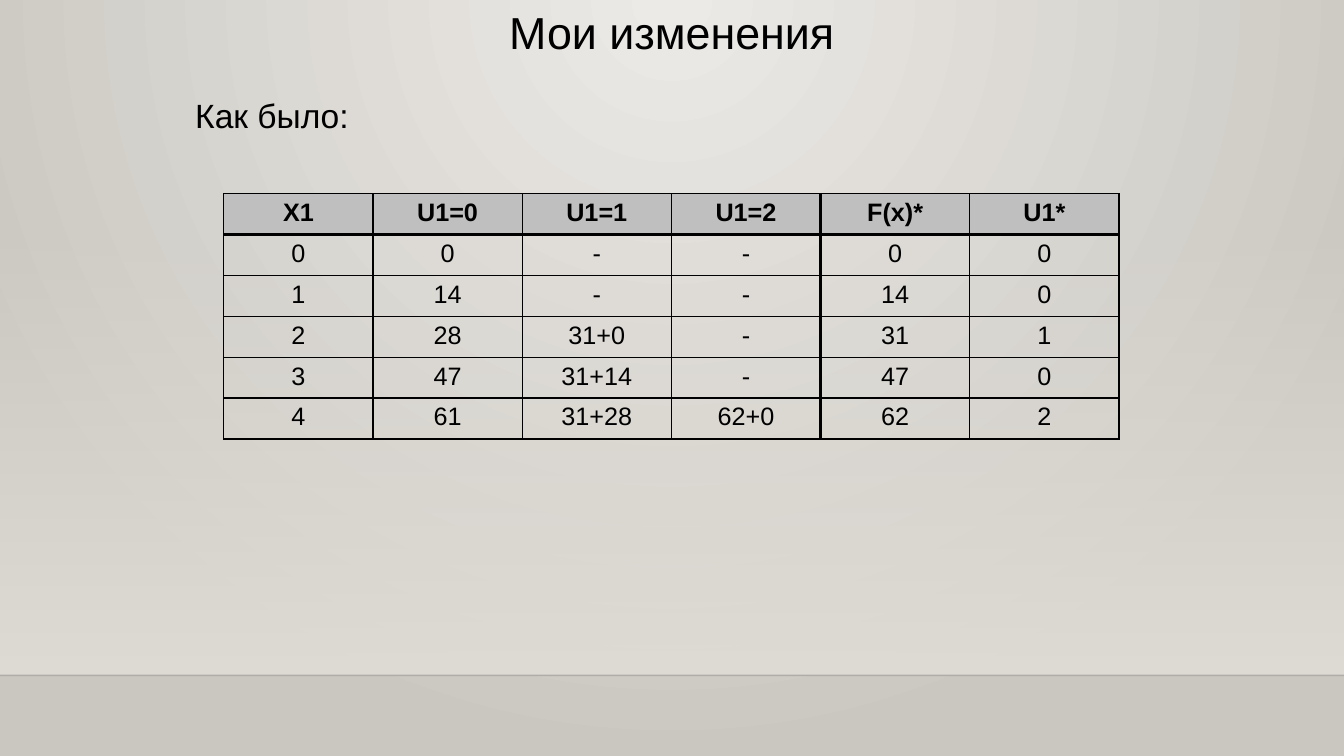
from dataclasses import dataclass

from pptx import Presentation
from pptx.dml.color import RGBColor
from pptx.enum.shapes import MSO_CONNECTOR as Connector, MSO_SHAPE as Shape
from pptx.enum.text import MSO_ANCHOR as Anchor, MSO_AUTO_SIZE as AutoSize, PP_ALIGN as Align
from pptx.oxml import parse_xml
from pptx.oxml.ns import nsdecls, qn
from pptx.util import Cm, Pt

TITLE = "Мои изменения"
SUBTITLE = "Как было:"
HEADER = ["X1", "U1=0", "U1=1", "U1=2", "F(x)*", "U1*"]
STATES = [
    ["0", "0", "-", "-", "0", "0"],
    ["1", "14", "-", "-", "14", "0"],
    ["2", "28", "31+0", "-", "31", "1"],
    ["3", "47", "31+14", "-", "47", "0"],
    ["4", "61", "31+28", "62+0", "62", "2"],
]
THICK_AFTER_COLUMNS = {0, 3}
THICK_AFTER_ROWS = {0}


@dataclass(frozen=True)
class Theme:
    font: str = "Arial"
    ink: str = "000000"
    header: str = "BFBFBF"
    glow: str = "ECEAE7"
    edge: str = "CAC7C1"
    wall: str = "DFDBD5"
    horizon: str = "000001"
    title_size: int = 32
    subtitle_size: int = 24
    cell_size: int = 18
    thin: float = 1
    thick: float = 2.25


THEME = Theme()
WIDTH, HEIGHT = Cm(33.87), Cm(19.05)
WALL_TOP, FLOOR_TOP = Cm(5.61), Cm(17.02)
TABLE_LEFT, TABLE_TOP = Cm(5.64), Cm(4.88)
COLUMN_WIDTH, ROW_HEIGHT = Cm(3.76), Cm(1.03)


def set_gradient(owner, stops, direction):
    """Swap the solid fill of owner for a gradient; stops are (position, colour, opacity) in percent."""
    marks = "".join(
        f'<a:gs pos="{position * 1000}"><a:srgbClr val="{color}">'
        f'<a:alpha val="{opacity * 1000}"/></a:srgbClr></a:gs>'
        for position, color, opacity in stops
    )
    solid = owner.find(qn("a:solidFill"))
    owner.replace(solid, parse_xml(
        f'<a:gradFill {nsdecls("a")} rotWithShape="1"><a:gsLst>{marks}</a:gsLst>{direction}</a:gradFill>'
    ))


def write(frame, text, size, align=Align.LEFT, bold=False):
    paragraph = frame.paragraphs[0]
    paragraph.alignment = align
    run = paragraph.add_run()
    run.text = text
    run.font.name = THEME.font
    run.font.size = Pt(size)
    run.font.bold = bold
    run.font.color.rgb = RGBColor.from_string(THEME.ink)


def place(box, left, top, width, height):
    box.left, box.top, box.width, box.height = left, top, width, height


def set_borders(cell, widths):
    """Draw cell borders; widths are points for left, right, top and bottom."""
    properties = cell._tc.get_or_add_tcPr()
    for index, (side, width) in enumerate(zip("LRTB", widths)):
        properties.insert(index, parse_xml(
            f'<a:ln{side} {nsdecls("a")} w="{Pt(width)}"><a:solidFill>'
            f'<a:srgbClr val="{THEME.ink}"/></a:solidFill></a:ln{side}>'
        ))


def add_backdrop(slide):
    slide.background.fill.solid()
    set_gradient(
        slide.element.find(".//" + qn("p:bgPr")),
        [(0, THEME.glow, 100), (100, THEME.edge, 100)],
        '<a:path path="circle"><a:fillToRect l="43000" t="0" r="43000" b="100000"/></a:path>',
    )
    wall = slide.shapes.add_shape(Shape.RECTANGLE, 0, WALL_TOP, WIDTH, FLOOR_TOP - WALL_TOP)
    wall.shadow.inherit = False
    wall.line.fill.background()
    wall.fill.solid()
    set_gradient(
        wall.element.spPr,
        [(0, THEME.wall, 0), (100, THEME.wall, 100)],
        '<a:lin ang="5400000" scaled="0"/>',
    )
    horizon = slide.shapes.add_connector(Connector.STRAIGHT, 0, FLOOR_TOP, WIDTH, FLOOR_TOP)
    horizon.line.width = Pt(THEME.thin)
    horizon.line.color.rgb = RGBColor.from_string(THEME.horizon)
    properties = horizon.element.spPr
    color = properties.find(".//" + qn("a:srgbClr"))
    color.append(parse_xml(f'<a:alpha {nsdecls("a")} val="20000"/>'))
    properties.append(parse_xml(f'<a:effectLst {nsdecls("a")}/>'))


def add_headings(slide):
    title = slide.shapes.title
    place(title, Cm(5.16), 0, Cm(23.55), Cm(1.63))
    subtitle = slide.shapes.add_textbox(Cm(4.67), Cm(2.26), Cm(25.22), Cm(1.27))
    for box, text, size, align in (
        (title, TITLE, THEME.title_size, Align.CENTER),
        (subtitle, SUBTITLE, THEME.subtitle_size, Align.LEFT),
    ):
        frame = box.text_frame
        frame.word_wrap = True
        frame.auto_size = AutoSize.SHAPE_TO_FIT_TEXT
        frame.vertical_anchor = Anchor.TOP
        write(frame, text, size, align)


def add_states_table(slide):
    rows = [HEADER, *STATES]
    table = slide.shapes.add_table(
        len(rows), len(HEADER), TABLE_LEFT, TABLE_TOP,
        COLUMN_WIDTH * len(HEADER), ROW_HEIGHT * len(rows),
    ).table
    table.first_row = table.horz_banding = False
    for column in table.columns:
        column.width = COLUMN_WIDTH

    def weight(is_thick):
        return THEME.thick if is_thick else THEME.thin

    for r, values in enumerate(rows):
        table.rows[r].height = ROW_HEIGHT
        for c, value in enumerate(values):
            cell = table.cell(r, c)
            if r == 0:
                cell.fill.solid()
                cell.fill.fore_color.rgb = RGBColor.from_string(THEME.header)
            else:
                cell.fill.background()
            write(cell.text_frame, value, THEME.cell_size, Align.CENTER, bold=r == 0)
            set_borders(cell, [
                weight(c - 1 in THICK_AFTER_COLUMNS),
                weight(c in THICK_AFTER_COLUMNS),
                weight(r - 1 in THICK_AFTER_ROWS),
                weight(r in THICK_AFTER_ROWS),
            ])


def main():
    deck = Presentation()
    deck.slide_width, deck.slide_height = WIDTH, HEIGHT
    slide = deck.slides.add_slide(deck.slide_layouts[5])
    add_backdrop(slide)
    add_headings(slide)
    add_states_table(slide)
    deck.save("out.pptx")


if __name__ == "__main__":
    main()
